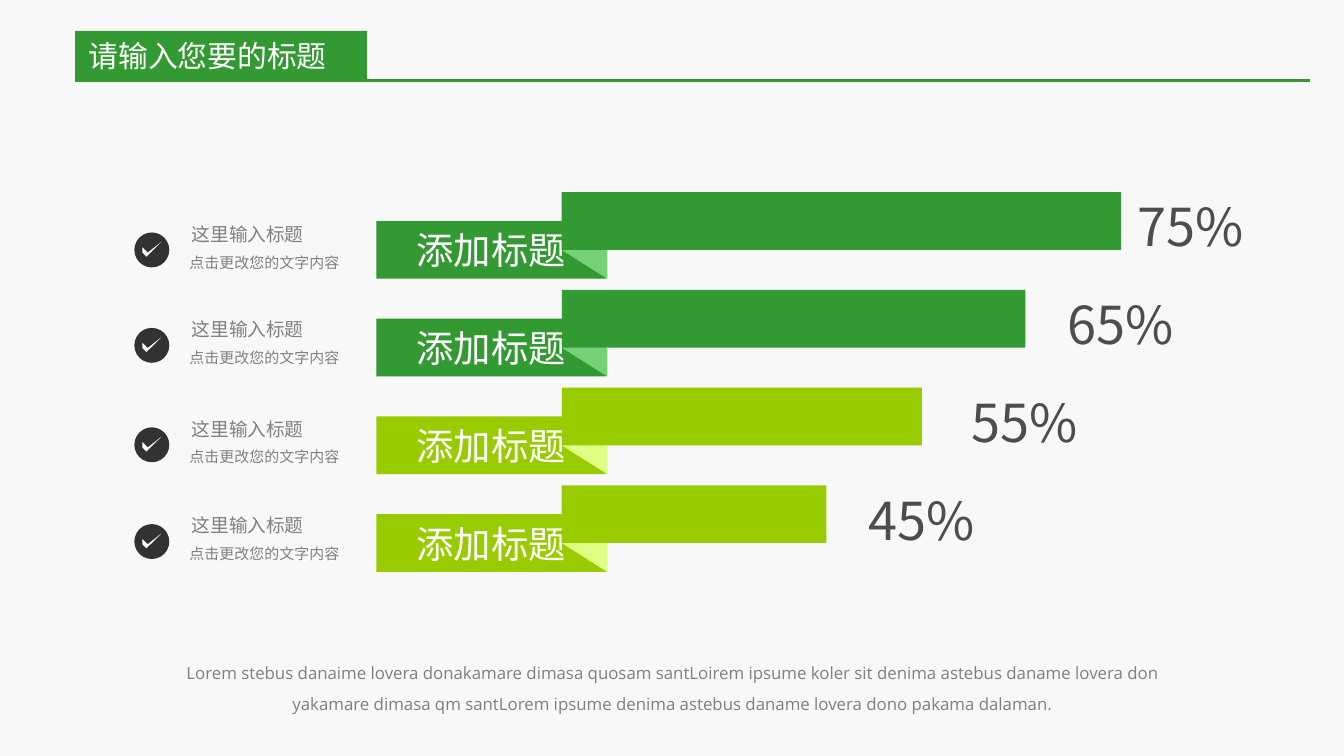
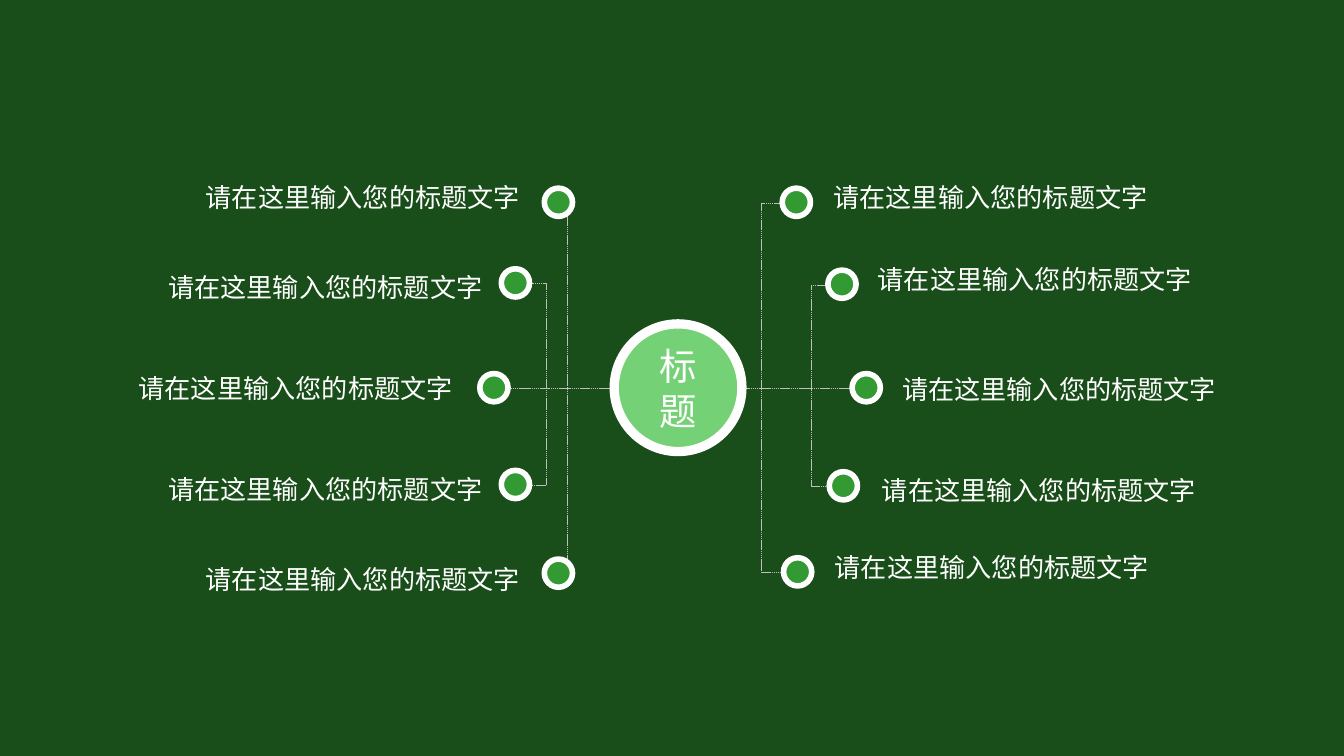
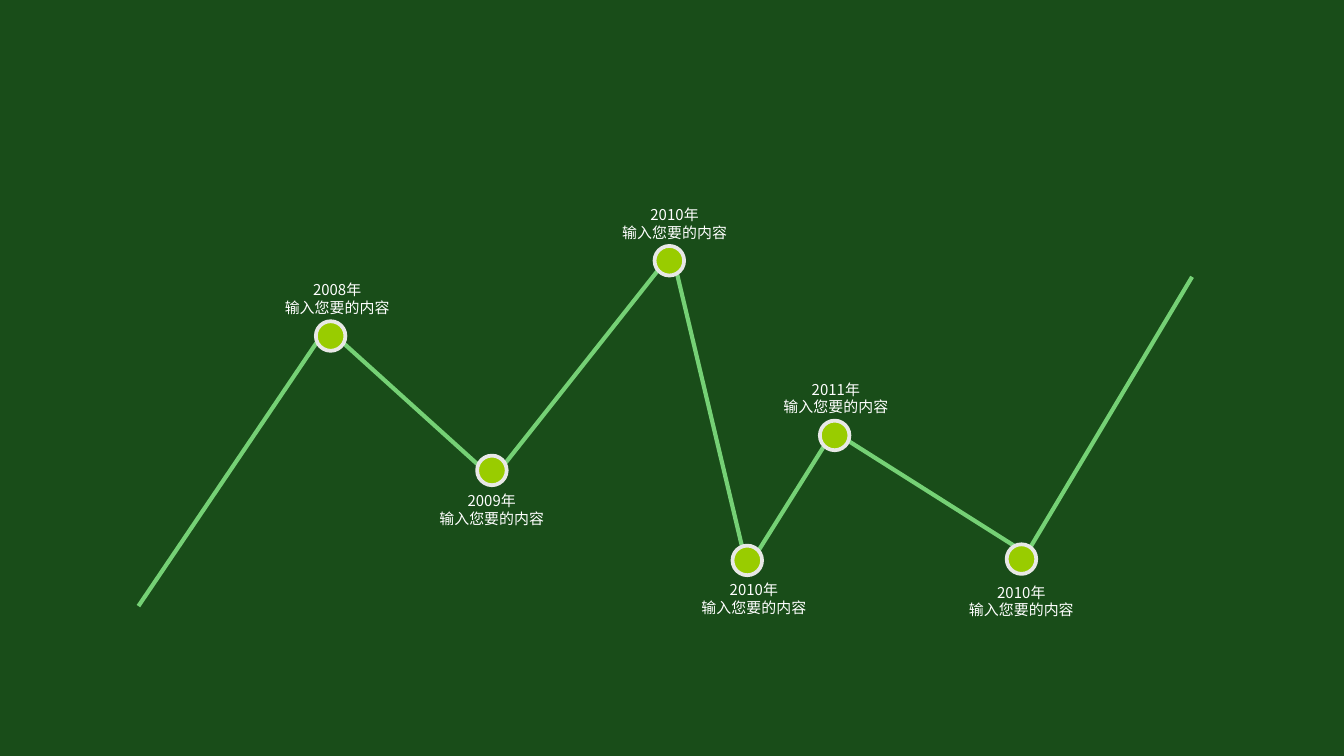
from itertools import pairwise

from lxml import etree
from pptx import Presentation
from pptx import util as u
from pptx.dml.color import RGBColor
from pptx.enum import dml, shapes, text
from pptx.oxml.ns import qn

# Grid: square cells, 100 columns by 56.25 rows
CELL = u.Inches(0.1)
COLUMNS, ROWS = 100, 56.25

# Shared look
CJK, LATIN = "Noto Sans CJK SC", "Open Sans"
WHITE, PALE, FOREST = "FFFFFF", "F8F8F8", "194D19"
GREEN, LIME = "339933", "99CC00"
LIGHT_GREEN, LIGHT_LIME = "75D175", "E0FF85"
CHARCOAL, DARK_GREY, GREY = "323232", "4D4D4D", "808080"
LEFT, CENTER, RIGHT = text.PP_ALIGN.LEFT, text.PP_ALIGN.CENTER, text.PP_ALIGN.RIGHT
TOP, MIDDLE = text.MSO_ANCHOR.TOP, text.MSO_ANCHOR.MIDDLE
RECTANGLE, OVAL = shapes.MSO_SHAPE.RECTANGLE, shapes.MSO_SHAPE.OVAL


def cells(*counts):
    return [u.Emu(round(count * CELL)) for count in counts]


def color(hex_string):
    return RGBColor.from_string(hex_string)


def paint(target, hex_string):
    target.fill.solid()
    target.fill.fore_color.rgb = color(hex_string)


# Text
def write(shape, content, size, hex_string, align=LEFT, anchor=TOP, font=CJK, spacing=None):
    frame = shape.text_frame
    frame.word_wrap = True
    frame.auto_size = text.MSO_AUTO_SIZE.NONE
    frame.vertical_anchor = anchor
    frame.text = content
    for paragraph in frame.paragraphs:
        paragraph.alignment = align
        if spacing:
            paragraph.line_spacing = spacing
        paragraph.font.size = u.Pt(size)
        paragraph.font.name = font
        paragraph.font.color.rgb = color(hex_string)
        etree.SubElement(paragraph.font._element, qn("a:ea"), typeface=font)


def add_text(slide, box, content, size, hex_string, **style):
    shape = slide.shapes.add_textbox(*cells(*box))
    write(shape, content, size, hex_string, **style)
    return shape


# Shapes and lines
def finish(shape, fill, outline=None, width=0):
    shape.shadow.inherit = False
    paint(shape, fill)
    if outline:
        shape.line.color.rgb = color(outline)
        shape.line.width = u.Pt(width)
    else:
        shape.line.fill.background()
    return shape


def add_shape(slide, kind, box, fill, outline=None, width=0):
    return finish(slide.shapes.add_shape(kind, *cells(*box)), fill, outline, width)


def add_line(slide, start, end, hex_string, width, dashed=False, bend=None):
    kind = shapes.MSO_CONNECTOR.STRAIGHT if bend is None else shapes.MSO_CONNECTOR.ELBOW
    line = slide.shapes.add_connector(kind, *cells(*start, *end))
    line.line.color.rgb = color(hex_string)
    line.line.width = u.Pt(width)
    if dashed:
        line.line.dash_style = dml.MSO_LINE.SQUARE_DOT
    properties = line._element.spPr
    etree.SubElement(properties, qn("a:effectLst"))
    if bend is not None:
        share = (bend - start[0]) / (end[0] - start[0])
        guides = properties.find(qn("a:prstGeom")).find(qn("a:avLst"))
        etree.SubElement(guides, qn("a:gd"), name="adj1", fmla=f"val {round(share * 100000)}")


def add_slide(presentation, layout, background):
    slide = presentation.slides.add_slide(presentation.slide_layouts.get_by_name(layout))
    paint(slide.background, background)
    return slide


def add_title(slide, content):
    title = slide.shapes.title
    title.left, title.top, title.width, title.height = cells(5.6, 2.3, 21.7, 3.7)
    paint(title, GREEN)
    write(title, content, 16, WHITE)
    add_line(slide, (97.5, 6), (5.6, 6), GREEN, 1.5)


# Ribbon bars
def add_ribbon(slide, top, length, percent, percent_left, main, fold):
    height = 4.3
    label = add_shape(slide, RECTANGLE, (28, top + height / 2, 17.1, height), main)
    write(label, "添加标题", 20, WHITE, align=CENTER, anchor=MIDDLE)
    add_shape(slide, RECTANGLE, (41.8, top, length, height), main)
    corner = add_shape(slide, shapes.MSO_SHAPE.ISOSCELES_TRIANGLE,
                       (41.8, top + height, 3.4, height / 2), fold)
    corner.adjustments[0] = 0
    corner.rotation = 180
    add_text(slide, (percent_left, top - 0.3, 10.5, 5.7), percent, 28, DARK_GREY, align=CENTER)


def add_check_item(slide, top):
    add_shape(slide, OVAL, (10, top, 2.6, 2.6), CHARCOAL)
    builder = slide.shapes.build_freeform(0, 8, scale=CELL / 10)
    builder.add_line_segments([(3, 11), (14, 0), (4, 8), (0, 4)])
    finish(builder.convert_to_shape(*cells(10.6, top + 0.7)), WHITE)
    add_text(slide, (13.3, top - 1, 15.5, 2.2), "这里输入标题", 10, GREY, anchor=MIDDLE)
    body = add_text(slide, (14.1, top + 0.8, 22.5, 2.8), "点击更改您的文字内容", 8, GREY,
                    anchor=MIDDLE)
    body.text_frame.margin_left = 0


def build_bars(presentation):
    slide = add_slide(presentation, "Title Only", PALE)
    ribbons = [
        (41.6, "75%", 83.3, GREEN, LIGHT_GREEN),
        (34.5, "65%", 78.1, GREEN, LIGHT_GREEN),
        (26.8, "55%", 71, LIME, LIGHT_LIME),
        (19.7, "45%", 63.3, LIME, LIGHT_LIME),
    ]
    for row, ribbon in enumerate(ribbons):
        add_ribbon(slide, 14.3 + 7.27 * row, *ribbon)
    for top in (17.3, 24.4, 31.8, 39):
        add_check_item(slide, top)
    add_text(slide, (12.5, 48.1, 75, 5.3),
             "Lorem stebus danaime lovera donakamare dimasa quosam santLoirem ipsume koler sit "
             "denima astebus daname lovera don yakamare dimasa qm santLorem ipsume denima astebus "
             "daname lovera dono pakama dalaman.",
             9, "7F7F7F", align=CENTER, font=LATIN, spacing=1.5)
    add_title(slide, "请输入您要的标题")


# Mind map
def build_mind_map(presentation):
    slide = add_slide(presentation, "Blank", FOREST)
    branch = {"hex_string": "BFBFBF", "width": 0.25, "dashed": True}
    add_line(slide, (36.6, 28.9), (64.6, 28.9), **branch)
    add_line(slide, (42.2, 14.9), (42.2, 42.5), **branch)
    for x, top, bottom, bend in [(58.7, 15.1, 42.6, 56.6), (61.9, 21.2, 36.2, 60.3),
                                 (39, 21.1, 36.1, 40.7)]:
        add_line(slide, (x + 0.1, top), (x, bottom), bend=bend, **branch)

    center = add_shape(slide, OVAL, (45.7, 24.1, 9.5, 9.5), LIGHT_GREEN, WHITE, 5)
    write(center, "标题", 20, WHITE, align=CENTER, anchor=MIDDLE)

    # Dot left and top, then label left and top
    topics = [
        (40.5, 14, 14.2, 12.3), (37.3, 20, 11.4, 19), (35.7, 27.8, 9.2, 26.5),
        (37.3, 35, 11.4, 34), (40.5, 41.6, 14.2, 40.7),
        (58.2, 14, 60.9, 12.3), (61.6, 20.1, 64.2, 18.4), (63.4, 27.8, 66, 26.6),
        (61.7, 35.1, 64.5, 34.1), (58.3, 41.5, 61, 39.8),
    ]
    for dot_left, dot_top, label_left, label_top in topics:
        add_shape(slide, OVAL, (dot_left, dot_top, 2.1, 2.1), GREEN, WHITE, 3)
        add_text(slide, (label_left, label_top, 25.5, 4.1), "请在这里输入您的标题文字", 14, WHITE,
                 align=RIGHT, spacing=1.3)


# Timeline
def build_timeline(presentation):
    slide = add_slide(presentation, "Blank", FOREST)
    route = [(10.3, 45.1), (24.3, 24.4), (36.7, 35.6), (50, 18.8), (55.6, 42.3), (62, 32.1),
             (75.6, 40.7)]
    for start, end in [*pairwise(route), ((75.6, 42.5), (88.7, 20.6))]:
        add_line(slide, start, end, LIGHT_GREEN, 2.25)

    # Year, dot left and top, label left and top
    milestones = [
        (2008, 23.5, 23.9, 16.3, 20.4), (2009, 35.5, 33.9, 27.8, 36.1),
        (2010, 48.7, 18.3, 41.4, 14.8), (2010, 54.5, 40.6, 47.3, 42.7),
        (2011, 61, 31.3, 53.4, 27.8), (2010, 74.9, 40.5, 67.2, 42.9),
    ]
    for year, dot_left, dot_top, label_left, label_top in milestones:
        add_shape(slide, OVAL, (dot_left, dot_top, 2.2, 2.2), LIME, "E8E8E6", 2)
        add_text(slide, (label_left, label_top, 17.6, 3.7), f"{year}年\n输入您要的内容", 8, WHITE,
                 align=CENTER)


def main():
    presentation = Presentation()
    presentation.slide_width, presentation.slide_height = cells(COLUMNS, ROWS)
    build_bars(presentation)
    build_mind_map(presentation)
    build_timeline(presentation)
    presentation.save("out.pptx")


if __name__ == "__main__":
    main()
